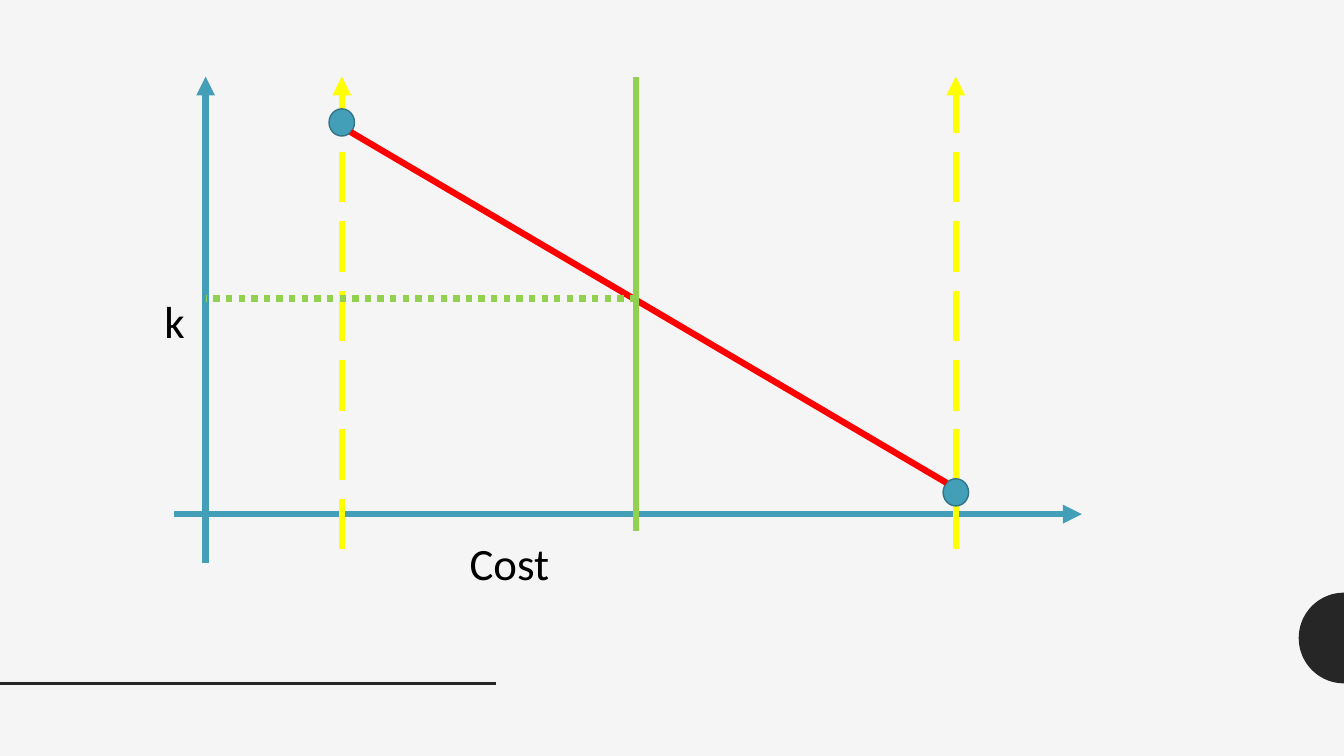
"""Build a slide with a line diagram of k against cost."""
from math import cos, pi, sin

from pptx import Presentation
from pptx.dml.color import RGBColor
from pptx.enum.dml import MSO_LINE
from pptx.enum.shapes import MSO_CONNECTOR, MSO_SHAPE
from pptx.enum.text import MSO_AUTO_SIZE, PP_ALIGN
from pptx.oxml.ns import qn
from pptx.util import Inches, Pt
from lxml.etree import SubElement

PAPER = RGBColor(0xF5, 0xF5, 0xF5)
CHARCOAL = RGBColor(0x26, 0x26, 0x26)
BLUE = RGBColor(0x43, 0x9E, 0xB7)
DARK_BLUE = RGBColor(0x32, 0x75, 0x87)
YELLOW = RGBColor(0xFF, 0xFF, 0x00)
RED = RGBColor(0xFF, 0x00, 0x00)
GREEN = RGBColor(0x92, 0xD0, 0x50)
BLACK = RGBColor(0x00, 0x00, 0x00)

presentation = Presentation()
presentation.slide_width = Inches(13.33)
presentation.slide_height = Inches(7.5)
column = presentation.slide_width / 100
row = presentation.slide_height / 100
slide = presentation.slides.add_slide(presentation.slide_layouts[6])
slide.background.fill.solid()
slide.background.fill.fore_color.rgb = PAPER


def place(*grid):
    """Turn alternating columns and rows into lengths."""
    return [round(value * unit) for value, unit in zip(grid, (column, row) * 2)]


def draw_line(start, end, color, width=4.5, dash=None, arrow=False):
    """Draw a straight line between two grid points."""
    connector = slide.shapes.add_connector(
        MSO_CONNECTOR.STRAIGHT, *place(*start), *place(*end))
    connector.line.color.rgb = color
    connector.line.width = Pt(width)
    if dash:
        connector.line.dash_style = dash
    if arrow:
        SubElement(connector.line._get_or_add_ln(), qn("a:tailEnd"), type="triangle")
    SubElement(connector._element.spPr, qn("a:effectLst"))


axis_x, axis_y = 15.3, 68
chart_top = 10.13
limit_columns = (25.43, 71.12)
middle_x, middle_y = 47.34, 39.47
dot_rows = (16.2, 65.13)
dot_width, dot_height = 1.9, 3.6

arc_steps = 36
arc = [place(100 - 3.37 * sin(pi * step / arc_steps),
             84.4 - 6 * cos(pi * step / arc_steps))
       for step in range(arc_steps + 1)]
builder = slide.shapes.build_freeform(*arc[0])
builder.add_line_segments(arc[1:], close=True)
half_disc = builder.convert_to_shape()
half_disc.shadow.inherit = False
half_disc.fill.solid()
half_disc.fill.fore_color.rgb = CHARCOAL
half_disc.line.fill.background()

draw_line((0, 90.4), (36.9, 90.4), CHARCOAL, width=2)
draw_line((axis_x, 74.53), (axis_x, chart_top), BLUE, arrow=True)
draw_line((12.98, axis_y), (80.5, axis_y), BLUE, arrow=True)

for label, left, top, alignment in (
        ("Cost", 34.2, 70.27, PP_ALIGN.LEFT), ("k", 8.93, 38.13, PP_ALIGN.CENTER)):
    text_frame = slide.shapes.add_textbox(*place(left, top, 8.1, 8.53)).text_frame
    text_frame.word_wrap = True
    text_frame.auto_size = MSO_AUTO_SIZE.SHAPE_TO_FIT_TEXT
    paragraph = text_frame.paragraphs[0]
    paragraph.text = label
    paragraph.alignment = alignment
    paragraph.font.name = "Calibri"
    paragraph.font.size = Pt(32)
    paragraph.font.color.rgb = BLACK

for limit_x in limit_columns:
    draw_line((limit_x, 72.67), (limit_x, chart_top), YELLOW,
              dash=MSO_LINE.LONG_DASH, arrow=True)

for dot_x, dot_y in zip(limit_columns, dot_rows):
    dot = slide.shapes.add_shape(MSO_SHAPE.OVAL, *place(
        dot_x - dot_width / 2, dot_y - dot_height / 2, dot_width, dot_height))
    dot.shadow.inherit = False
    dot.fill.solid()
    dot.fill.fore_color.rgb = BLUE
    dot.line.color.rgb = DARK_BLUE
    dot.line.width = Pt(1)

draw_line((26.1, 17.47), (70.43, 63.87), RED)
draw_line((middle_x, 70.27), (middle_x, chart_top), GREEN)
draw_line((middle_x, middle_y), (axis_x, middle_y), GREEN, dash=MSO_LINE.ROUND_DOT)

for connector in slide.shapes._spTree.iter(qn("a:prstDash")):
    if connector.get("val") == "dot":
        connector.set("val", "sysDot")

presentation.save("out.pptx")
